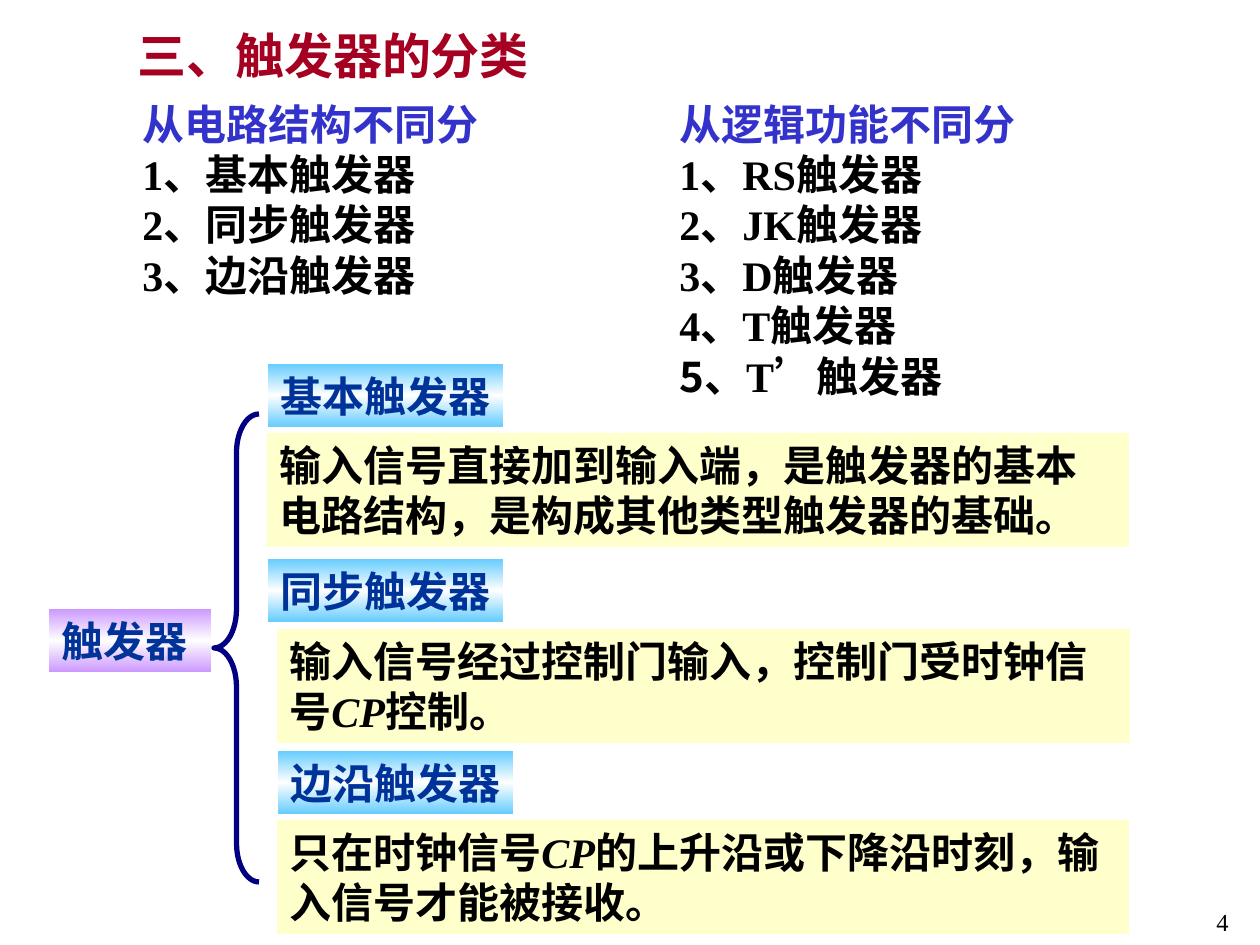
from copy import deepcopy
from dataclasses import dataclass
from pptx import Presentation
from pptx.dml.color import RGBColor as RGB
from pptx.enum.shapes import MSO_SHAPE as Kind
from pptx.enum.text import PP_ALIGN as Align
from pptx.oxml import parse_xml
from pptx.oxml.ns import nsdecls, qn
from pptx.util import Emu, Pt

# Fonts and colours
SANS, ROMAN = "Noto Sans CJK SC", "Times New Roman"
BLACK, WHITE = RGB(0, 0, 0), RGB(0xFF, 0xFF, 0xFF)
RED, BLUE = RGB(0xA5, 0x00, 0x21), RGB(0x33, 0x33, 0xCC)
NAVY, INK = RGB(0x00, 0x00, 0x80), RGB(0x00, 0x33, 0x99)
SKY, LILAC = RGB(0x66, 0xCC, 0xFF), RGB(0xCC, 0x99, 0xFF)
CREAM = RGB(0xFF, 0xFF, 0xCC)


@dataclass
class Box:
    x: int
    y: int
    w: int
    h: int


@dataclass
class Run:
    text: str
    font: str = ROMAN
    color: RGB = BLACK
    size: int = 24
    bold: bool = True
    italic: bool = False


@dataclass
class Group:
    label: Box
    name: str
    note: Box
    runs: list[Run]


def px(n: int) -> Emu:
    return Emu(round(n * 914400 / 126))


def place(box: Box) -> tuple[Emu, ...]:
    return px(box.x), px(box.y), px(box.w), px(box.h)


def write(shape, lines: list[list[Run]], align=Align.LEFT, wrap: bool = True) -> None:
    frame = shape.text_frame
    frame.word_wrap = wrap
    for i, line in enumerate(lines):
        para = frame.paragraphs[0] if i == 0 else frame.add_paragraph()
        para.alignment = align
        for item in line:
            run = para.add_run()
            run.text = item.text
            font = run.font
            font.name, font.size = item.font, Pt(item.size)
            font.bold, font.italic = item.bold, item.italic
            font.color.rgb = item.color
            east = parse_xml(f'<a:ea {nsdecls("a")} typeface="{SANS}"/>')
            font._element.find(qn("a:latin")).addnext(east)


def add_text(slide, box: Box, lines: list[list[Run]], align=Align.LEFT) -> None:
    write(slide.shapes.add_textbox(*place(box)), lines, align)


def add_rect(slide, box: Box):
    rect = slide.shapes.add_shape(Kind.RECTANGLE, *place(box))
    rect.shadow.inherit = False
    rect.line.fill.background()
    return rect


def add_label(slide, box: Box, text: str, edge: RGB) -> None:
    rect = add_rect(slide, box)
    fill = rect.fill
    fill.gradient()
    fill.gradient_angle = 90
    stops = rect._element.spPr.find(qn("a:gradFill")).find(qn("a:gsLst"))
    stops.insert(1, deepcopy(stops[0]))
    for stop, at, color in zip(fill.gradient_stops, (0, 0.5, 1), (edge, WHITE, edge)):
        stop.position, stop.color.rgb = at, color
    write(rect, [[Run(text, color=INK)]], wrap=False)


def add_note(slide, box: Box, runs: list[Run]) -> None:
    rect = add_rect(slide, box)
    rect.fill.solid()
    rect.fill.fore_color.rgb = CREAM
    write(rect, [runs])


def add_brace(slide, box: Box) -> None:
    brace = slide.shapes.add_shape(Kind.LEFT_BRACE, *place(box))
    brace.shadow.inherit = False
    brace.adjustments[0] = 0.86
    brace.fill.background()
    brace.line.color.rgb, brace.line.width = NAVY, Pt(3)


GROUPS = [
    Group(Box(268, 364, 235, 63), "基本触发器", Box(267, 433, 862, 114),
          [Run("输入信号直接加到输入端，是触发器的基本电路结构，是构成其他类型触发器的基础。")]),
    Group(Box(268, 559, 235, 63), "同步触发器", Box(277, 629, 853, 114),
          [Run("输入信号经过控制门输入，控制门受时钟信号", SANS),
           Run("CP", italic=True), Run("控制。", SANS)]),
    Group(Box(278, 751, 235, 63), "边沿触发器", Box(277, 820, 852, 114),
          [Run("只在时钟信号"), Run("CP", italic=True),
           Run("的上升沿或下降沿时刻，输入信号才能被接收。")]),
]


def main() -> None:
    deck = Presentation()
    deck.slide_width, deck.slide_height = px(1260), px(945)
    slide = deck.slides.add_slide(deck.slide_layouts[6])

    # Title
    add_text(slide, Box(125, 19, 815, 81), [[Run("三、触发器的分类", color=RED, size=28)]])

    # Two lists of types
    kinds = [[Run(f"{i}、{group.name}")] for i, group in enumerate(GROUPS, 1)]
    add_text(slide, Box(130, 92, 422, 214),
             [[Run("从电路结构不同分", SANS, BLUE)], *kinds])
    logic = [[Run(f"{i}、{name}"), Run("触发器", SANS)]
             for i, name in enumerate(("RS", "JK", "D", "T"), 1)]
    last = [Run("5、", SANS), Run("T’"), Run("触发器", SANS)]
    add_text(slide, Box(667, 92, 430, 315),
             [[Run("从逻辑功能不同分", SANS, BLUE)], *logic, last])

    # Tree of types
    add_label(slide, Box(49, 609, 162, 63), "触发器", LILAC)
    add_brace(slide, Box(214, 414, 45, 468))
    for group in GROUPS:
        add_label(slide, group.label, group.name, SKY)
        add_note(slide, group.note, group.runs)

    # Page number
    add_text(slide, Box(979, 901, 262, 63), [[Run("4", size=14, bold=False)]], Align.RIGHT)

    deck.save("out.pptx")


if __name__ == "__main__":
    main()
